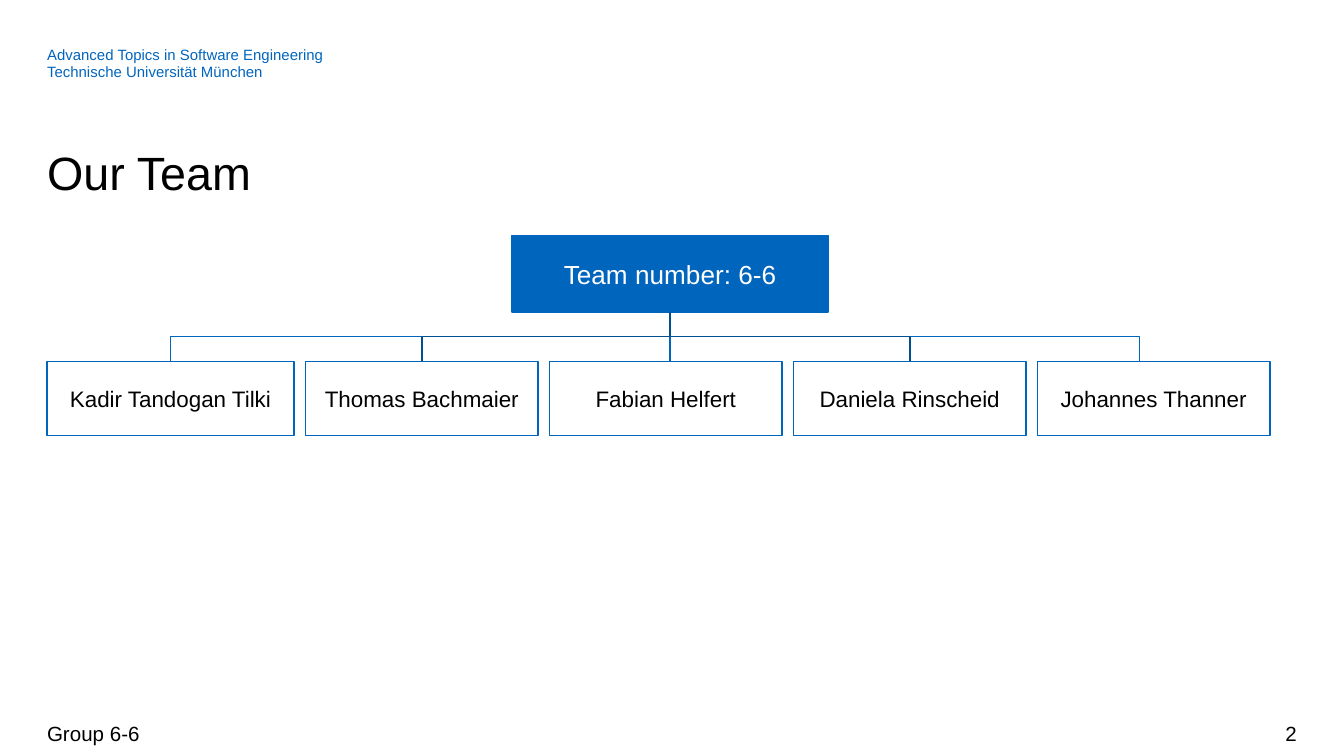
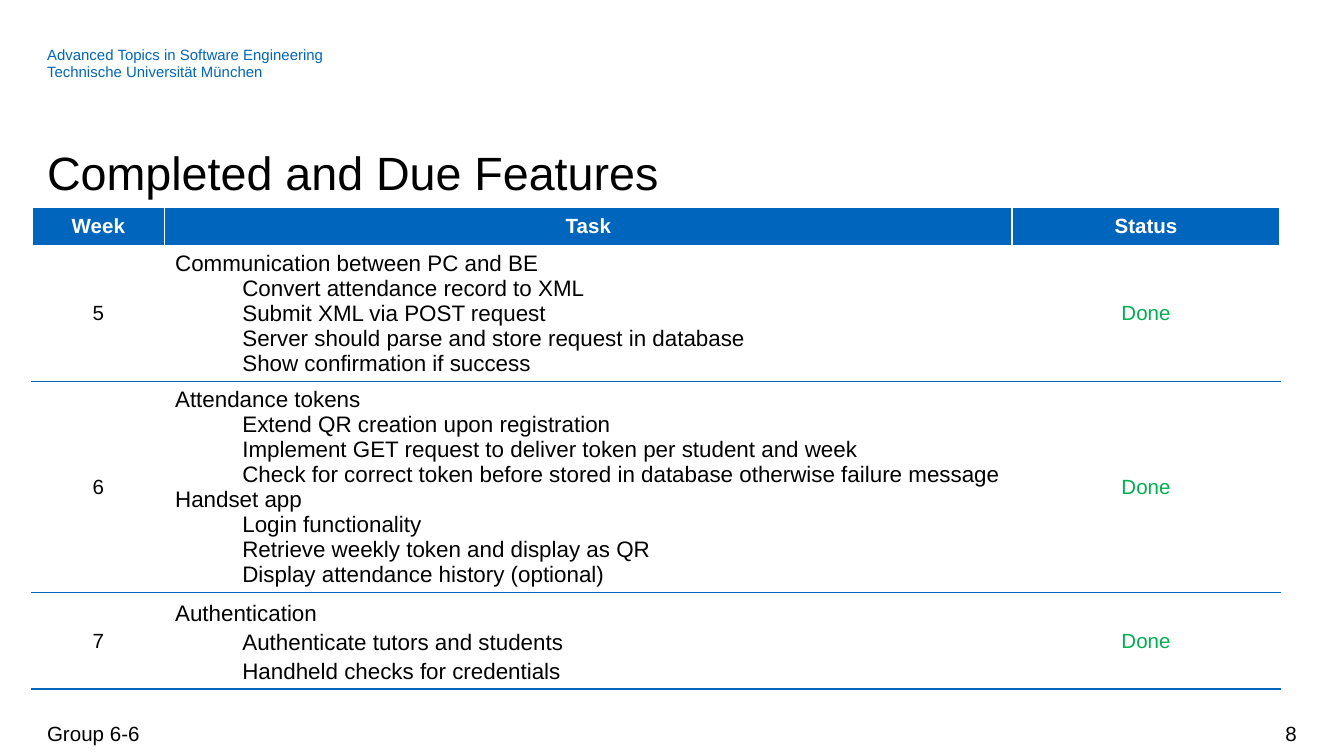
from dataclasses import dataclass

from lxml.etree import SubElement
from pptx import Presentation
from pptx.dml.color import RGBColor
from pptx.enum.shapes import MSO_CONNECTOR, MSO_SHAPE
from pptx.enum.text import MSO_ANCHOR, MSO_AUTO_SIZE, PP_ALIGN
from pptx.oxml.ns import qn
from pptx.util import Cm, Pt


@dataclass(frozen=True)
class Theme:
    font: str = "Arial"
    blue: str = "0065BD"
    dark_blue: str = "005090"
    green: str = "00B050"
    black: str = "000000"
    white: str = "FFFFFF"
    title: int = 25
    root: int = 14
    body: int = 12
    small: int = 11
    header: int = 8
    line: float = 0.75


THEME = Theme()
MARGIN = 0.89
CONTENT_WIDTH = 23.6
HEADER = ["Advanced Topics in Software Engineering", "Technische Universität München"]
FOOTER = "Group 6-6"

TEAM = ["Kadir Tandogan Tilki", "Thomas Bachmaier", "Fabian Helfert",
        "Daniela Rinscheid", "Johannes Thanner"]

# Week, groups of (task, subtasks), status, line spacing
FEATURES = [
    ("5", [("Communication between PC and BE", [
        "Convert attendance record to XML",
        "Submit XML via POST request",
        "Server should parse and store request in database",
        "Show confirmation if success"])], "Done", None),
    ("6", [("Attendance tokens", [
        "Extend QR creation upon registration",
        "Implement GET request to deliver token per student and week",
        "Check for correct token before stored in database otherwise failure message"]),
        ("Handset app", [
            "Login functionality",
            "Retrieve weekly token and display as QR",
            "Display attendance history (optional)"])], "Done", None),
    ("7", [("Authentication", [
        "Authenticate tutors and students",
        "Handheld checks for credentials"])], "Done", 1.14),
]


def rgb(color):
    return RGBColor.from_string(color)


class Deck:
    def __init__(self, theme):
        self.theme = theme
        self.prs = Presentation()
        self.prs.slide_width, self.prs.slide_height = Cm(25.4), Cm(14.29)
        self.s = None

    def slide(self, title, number):
        """Start a slide with the shared header, title, footer and number."""
        t = self.theme
        self.s = self.prs.slides.add_slide(self.prs.slide_layouts[5])
        self.title(title)
        self.text(HEADER, (MARGIN, 0.89, 19.89, 0.64), t.header, t.blue, spacing=Pt(9))
        foot = dict(inset=0.13, anchor=MSO_ANCHOR.MIDDLE)
        self.text([FOOTER], (MARGIN, 13.49, CONTENT_WIDTH, 0.76), t.small, t.black, **foot)
        self.text([number], (18.82, 13.49, 5.69, 0.76), t.small, t.black,
                  align=PP_ALIGN.RIGHT, **foot)

    def style(self, p, size, color, align=PP_ALIGN.LEFT, bold=False, spacing=None):
        p.font.name, p.font.size, p.font.bold = self.theme.font, Pt(size), bold
        p.font.color.rgb = rgb(color)
        p.alignment = align
        if spacing is not None:
            p.line_spacing = spacing

    def fill_frame(self, tf, lines, *style, **options):
        tf.text = "\n".join(lines)
        for p in tf.paragraphs:
            self.style(p, *style, **options)

    def frame(self, tf, side, inset, anchor):
        tf.word_wrap = True
        tf.auto_size = MSO_AUTO_SIZE.NONE
        tf.margin_left = tf.margin_right = Cm(side)
        tf.margin_top = tf.margin_bottom = Cm(inset)
        tf.vertical_anchor = anchor

    def title(self, text):
        sp = self.s.shapes.title
        sp.left, sp.top, sp.width, sp.height = map(Cm, (MARGIN, 2.64, CONTENT_WIDTH, 1.1))
        self.frame(sp.text_frame, 0, 0, MSO_ANCHOR.TOP)
        self.fill_frame(sp.text_frame, [text], self.theme.title, self.theme.black,
                        spacing=Pt(32))

    def text(self, lines, box, size, color, inset=0, anchor=MSO_ANCHOR.TOP, **options):
        tf = self.s.shapes.add_textbox(*map(Cm, box)).text_frame
        self.frame(tf, 0, inset, anchor)
        self.fill_frame(tf, lines, size, color, **options)

    def box(self, text, box, size, fill, color):
        sp = self.s.shapes.add_shape(MSO_SHAPE.RECTANGLE, *map(Cm, box))
        sp.shadow.inherit = False
        sp.fill.solid()
        sp.fill.fore_color.rgb = rgb(fill)
        sp.line.color.rgb = rgb(self.theme.blue)
        sp.line.width = Pt(self.theme.line)
        self.frame(sp.text_frame, 0.18, 0.1, MSO_ANCHOR.MIDDLE)
        self.fill_frame(sp.text_frame, [text], size, color, align=PP_ALIGN.CENTER)

    def branch(self, x1, y1, x2, y2, color):
        """Connect two points by a line that leaves and arrives vertically."""
        kind, rotation = MSO_CONNECTOR.STRAIGHT, 0
        ends = (x1, y1, x2, y2)
        if x1 != x2:
            # An elbow starts sideways, so it is laid flat and turned by a quarter.
            kind, rotation = MSO_CONNECTOR.ELBOW, 90 if x2 < x1 else 270
            mid_x, mid_y = (x1 + x2) / 2, (y1 + y2) / 2
            half_w = (y2 - y1) / 2 * (1 if x2 < x1 else -1)
            half_h = abs(x2 - x1) / 2
            ends = (mid_x - half_w, mid_y - half_h, mid_x + half_w, mid_y + half_h)
        line = self.s.shapes.add_connector(kind, *map(Cm, ends))
        line.line.color.rgb = rgb(color)
        line.line.width = Pt(self.theme.line)
        sp_pr = line._element.spPr
        SubElement(sp_pr, qn("a:effectLst"))
        if rotation:
            sp_pr.find(qn("a:xfrm")).set("rot", str(rotation * 60000))

    def table(self, left, top, widths, heights):
        table = self.s.shapes.add_table(
            len(heights), len(widths), Cm(left), Cm(top),
            Cm(sum(widths)), Cm(sum(heights))).table
        table.horz_banding = False
        for column, width in zip(table.columns, widths):
            column.width = Cm(width)
        for row, height in zip(table.rows, heights):
            row.height = Cm(height)
        return table

    def cell(self, cell, lines, fill, rules, *style, **options):
        """Fill a cell; rules maps a border tag to its colour and width."""
        tc_pr = cell._tc.get_or_add_tcPr()
        for tag, (color, width) in rules.items():
            ln = SubElement(tc_pr, qn(f"a:{tag}"), w=str(Pt(width)))
            SubElement(SubElement(ln, qn("a:solidFill")), qn("a:srgbClr"), val=color)
        cell.fill.solid()
        cell.fill.fore_color.rgb = rgb(fill)
        cell.vertical_anchor = MSO_ANCHOR.MIDDLE
        cell.margin_left = cell.margin_right = Cm(0.2)
        cell.margin_top = cell.margin_bottom = Cm(0.1)
        self.fill_frame(cell.text_frame, lines, *style, **options)


def team_slide(deck):
    t = deck.theme
    deck.slide("Our Team", "2")
    root_x, root_y, member_y, gap = 12.66, 5.9, 6.83, 0.22
    widths = [4.67] + [4.39] * 4
    lefts = [MARGIN + sum(widths[:i]) + i * gap for i in range(len(widths))]
    ends = [left + width / 2 for left, width in zip(lefts, widths)]
    ends[2], ends[4] = root_x, 21.54

    def branches(indexes, color):
        for i in indexes:
            deck.branch(root_x, root_y, ends[i], member_y, color)

    branches((0, 2, 4), t.blue)
    deck.box("Team number: 6-6", (9.68, 4.45, 5.97, 1.45), t.root, t.blue, t.white)
    for name, left, width in zip(TEAM, lefts, widths):
        deck.box(name, (left, member_y, width, 1.4), t.body, t.white, t.black)
    branches((1, 3), t.dark_blue)


def features_slide(deck):
    t = deck.theme
    deck.slide("Completed and Due Features", "8")
    table = deck.table(0.61, 3.92, (2.5, 16.02, 5.06), (0.72, 2.57, 3.98, 1.81))
    white, blue = (t.white, 1), (t.blue, t.line)
    sides = {"lnL": white, "lnR": white}
    center = dict(align=PP_ALIGN.CENTER)

    for c, heading in enumerate(("Week", "Task", "Status")):
        deck.cell(table.cell(0, c), [heading], t.blue, {**sides, "lnB": white},
                  t.small, t.white, bold=True, **center)

    for r, (week, groups, status, spacing) in enumerate(FEATURES, 1):
        rules = {**sides, "lnT": white if r == 1 else blue, "lnB": blue}
        deck.cell(table.cell(r, 0), [week], t.white, rules, t.small, t.black, **center)
        deck.cell(table.cell(r, 2), [status], t.white, rules, t.small, t.green, **center)
        lines = [line for task, subtasks in groups for line in (task, *subtasks)]
        tasks = [task for task, _ in groups]
        cell = table.cell(r, 1)
        deck.cell(cell, lines, t.white, rules, t.body, t.black, spacing=spacing)
        for p in cell.text_frame.paragraphs:
            if p.text not in tasks:
                p.level = 1
                p._p.get_or_add_pPr().set("marL", str(Cm(1.27)))


def main():
    deck = Deck(THEME)
    team_slide(deck)
    features_slide(deck)
    deck.prs.save("out.pptx")


if __name__ == "__main__":
    main()
